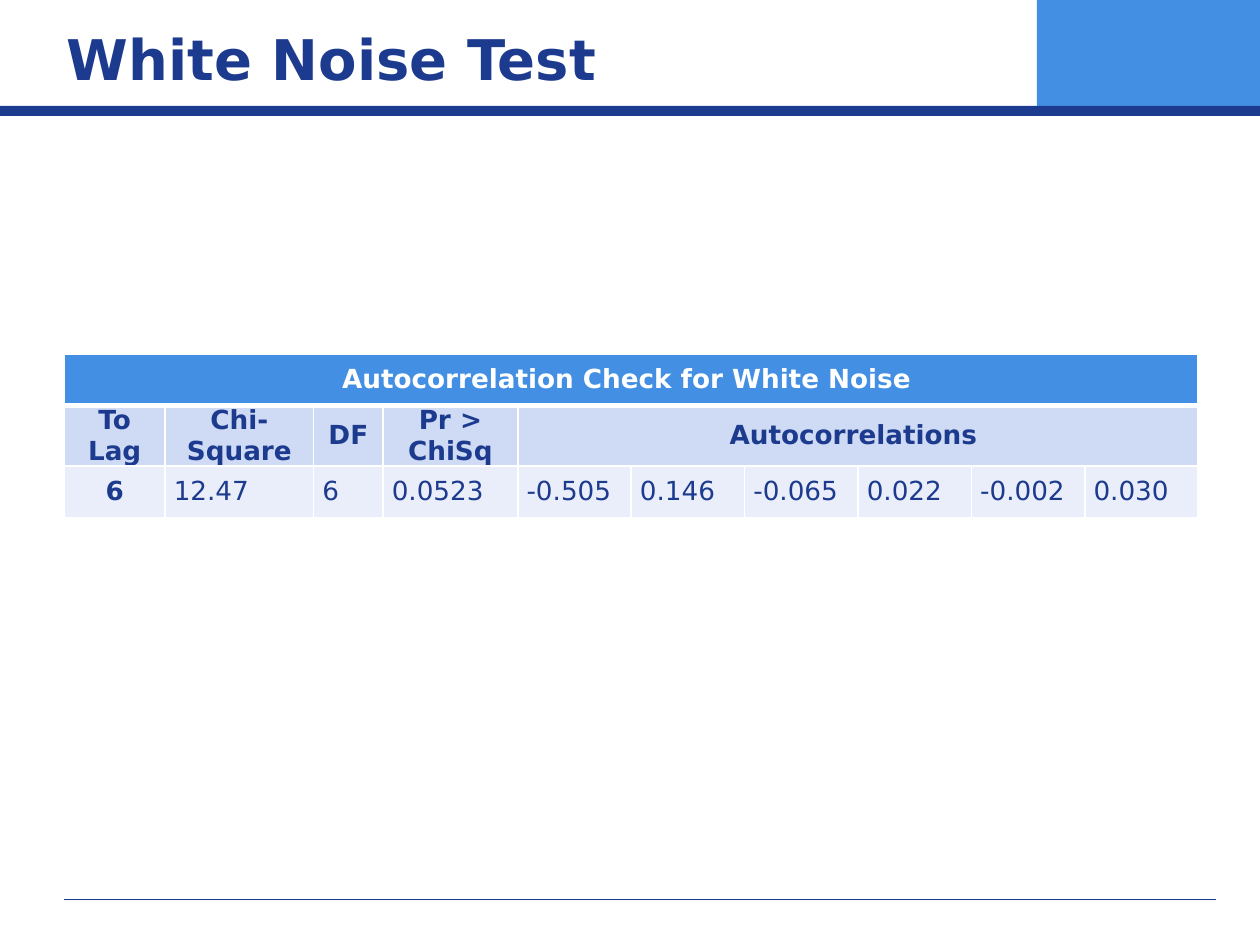
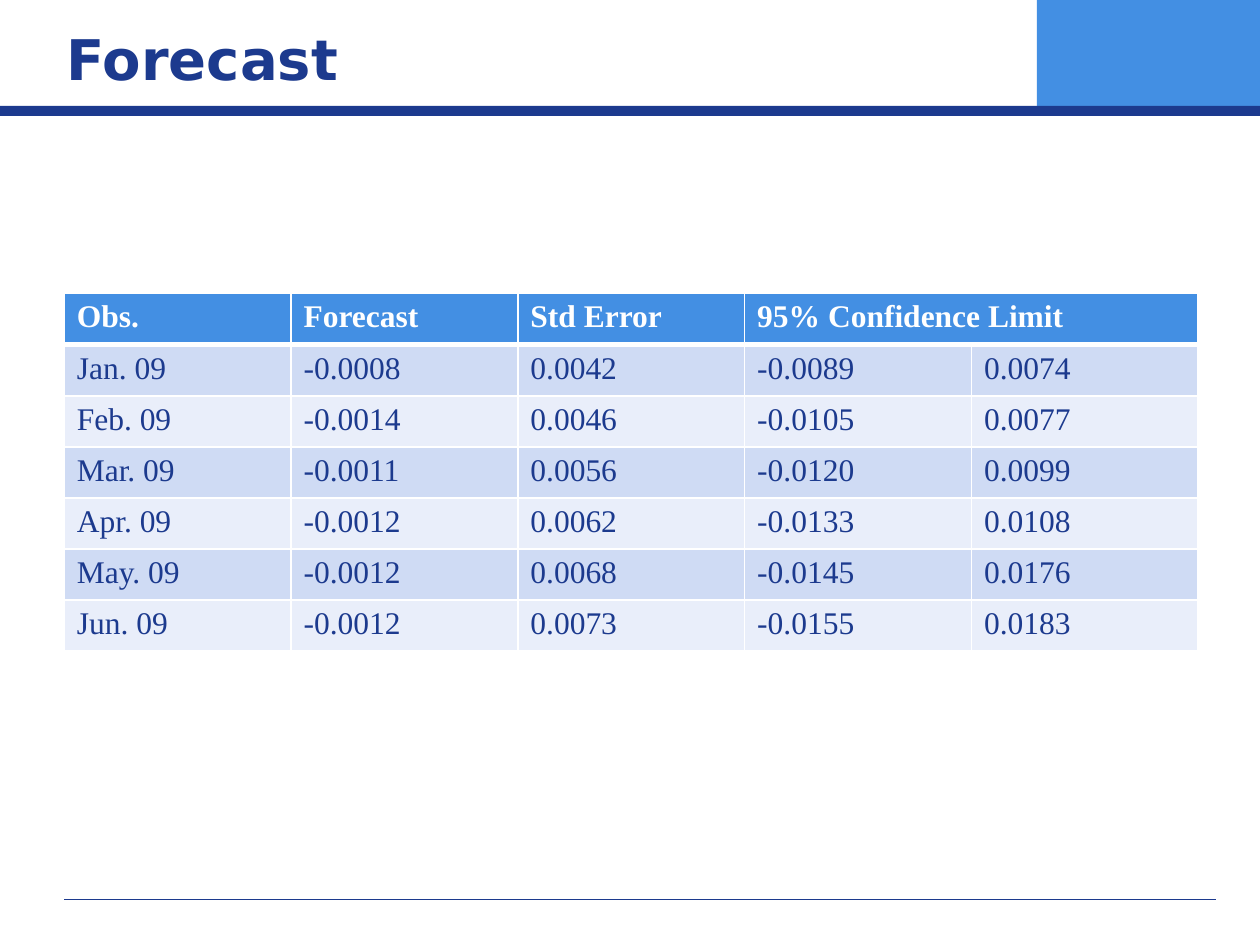
from dataclasses import dataclass

from lxml import etree
from pptx import Presentation
from pptx.dml.color import RGBColor
from pptx.enum.shapes import MSO_CONNECTOR, MSO_SHAPE
from pptx.enum.text import MSO_ANCHOR, MSO_AUTO_SIZE, PP_ALIGN
from pptx.oxml.ns import qn
from pptx.util import Inches, Pt

RECT, STRAIGHT = MSO_SHAPE.RECTANGLE, MSO_CONNECTOR.STRAIGHT
LEFT, CENTER = PP_ALIGN.LEFT, PP_ALIGN.CENTER
TOP, MIDDLE = MSO_ANCHOR.TOP, MSO_ANCHOR.MIDDLE
NO_AUTOFIT = MSO_AUTO_SIZE.NONE

# Shared look
NAVY, BLUE, WHITE = "1C3A8E", "438FE3", "FFFFFF"
BAND_FILLS = ("CFDBF4", "E9EEFA")
SANS, SERIF = "DejaVu Sans", "Times New Roman"
TITLE_ONLY = 5
THIN, THICK = 1, 3
TABLE_LEFT, TABLE_WIDTH = 0.51, 9


@dataclass(frozen=True)
class Band:
    left: float
    top: float
    width: float
    height: float
    fill: str


@dataclass(frozen=True)
class TableSpec:
    top: float
    height: float
    columns: tuple[float, ...]
    rows: tuple[tuple, ...]  # None continues the cell to its left
    font: str
    size: float
    bold_rows: int = 1
    bold_columns: int = 0
    bold_align: PP_ALIGN = LEFT
    anchor: MSO_ANCHOR = TOP
    side_margin: float = 0.1
    end_margin: float = 0.05
    spacing: float = 0


BANDS = (
    Band(8.23, 0, 1.77, 0.86, BLUE),
    Band(0, 0.84, 10, 0.08, NAVY),
)

WHITE_NOISE = TableSpec(
    top=2.81,
    height=1.22,
    columns=(0.8, 1.18, 0.55, 1.07) + (0.9,) * 6,
    rows=(
        ("Autocorrelation Check for White Noise ",) + (None,) * 9,
        ("To Lag", "Chi-Square", "DF", "Pr > ChiSq", "Autocorrelations ") + (None,) * 5,
        ("6", "12.47", "6", "0.0523", "-0.505", "0.146", "-0.065", "0.022", "-0.002", "0.030"),
    ),
    font=SANS,
    size=15,
    bold_rows=2,
    bold_columns=1,
    bold_align=CENTER,
    anchor=MIDDLE,
    side_margin=0.07,
    end_margin=0,
    spacing=5,
)

FORECAST = TableSpec(
    top=2.33,
    height=2.84,
    columns=(TABLE_WIDTH / 5,) * 5,
    rows=(
        ("Obs.", "Forecast", "Std Error", "95% Confidence Limit", None),
        ("Jan. 09", "-0.0008", "0.0042", "-0.0089", "0.0074"),
        ("Feb. 09", "-0.0014", "0.0046", "-0.0105", "0.0077"),
        ("Mar. 09", "-0.0011", "0.0056", "-0.0120", "0.0099"),
        ("Apr. 09", "-0.0012", "0.0062", "-0.0133", "0.0108"),
        ("May. 09", "-0.0012", "0.0068", "-0.0145", "0.0176"),
        ("Jun. 09", "-0.0012", "0.0073", "-0.0155", "0.0183"),
    ),
    font=SERIF,
    size=18,
)


def rgb(colour: str) -> RGBColor:
    return RGBColor.from_string(colour)


def write(frame, text: str, *, font: str, size: float, colour: str = NAVY,
          bold: bool = False, align: PP_ALIGN = LEFT, spacing: float = 0) -> None:
    paragraph = frame.paragraphs[0]
    paragraph.alignment = align
    paragraph.space_before = paragraph.space_after = Pt(spacing)
    run = paragraph.add_run()
    run.text = text
    run.font.name, run.font.size, run.font.bold = font, Pt(size), bold
    run.font.color.rgb = rgb(colour)


def add_band(slide, band: Band) -> None:
    shape = slide.shapes.add_shape(RECT, Inches(band.left), Inches(band.top),
                                   Inches(band.width), Inches(band.height))
    shape.shadow.inherit = False
    shape.fill.solid()
    shape.fill.fore_color.rgb = rgb(band.fill)
    shape.line.fill.background()


def add_footer_rule(slide) -> None:
    rule = slide.shapes.add_connector(STRAIGHT, Inches(0.51), Inches(7.14),
                                      Inches(9.65), Inches(7.14))
    rule.line.color.rgb = rgb(NAVY)
    rule.line.width = Pt(0.75)
    etree.SubElement(rule._element.spPr, qn("a:effectLst"))


def add_titled_slide(deck, heading: str):
    slide = deck.slides.add_slide(deck.slide_layouts[TITLE_ONLY])
    for band in BANDS:
        add_band(slide, band)
    add_footer_rule(slide)
    title = slide.shapes.title
    title.left, title.top = Inches(0.43), Inches(0.13)
    title.width, title.height = Inches(7.88), Inches(0.67)
    title.text_frame.auto_size = NO_AUTOFIT
    title.text_frame.vertical_anchor = MIDDLE
    write(title.text_frame, heading, font=SANS, size=32, bold=True)
    return slide


def set_borders(cell, top: float, bottom: float) -> None:
    properties = cell._tc.get_or_add_tcPr()
    for side, width in (("L", THIN), ("R", THIN), ("T", top), ("B", bottom)):
        line = etree.SubElement(properties, qn(f"a:ln{side}"), w=str(Pt(width)))
        fill = etree.SubElement(line, qn("a:solidFill"))
        etree.SubElement(fill, qn("a:srgbClr"), val=WHITE)


def style_cell(cell, row: int, spec: TableSpec) -> None:
    set_borders(cell, top=THICK if row == 1 else THIN, bottom=THICK if row == 0 else THIN)
    cell.fill.solid()
    cell.fill.fore_color.rgb = rgb(BLUE if row == 0 else BAND_FILLS[(row - 1) % 2])
    cell.vertical_anchor = spec.anchor
    cell.margin_left = cell.margin_right = Inches(spec.side_margin)
    cell.margin_top = cell.margin_bottom = Inches(spec.end_margin)


def add_data_table(slide, spec: TableSpec) -> None:
    table = slide.shapes.add_table(
        len(spec.rows), len(spec.columns), Inches(TABLE_LEFT), Inches(spec.top),
        Inches(TABLE_WIDTH), Inches(spec.height)).table
    for column, width in zip(table.columns, spec.columns):
        column.width = Inches(width)
    for r, values in enumerate(spec.rows):
        for c, value in enumerate(values):
            cell = table.cell(r, c)
            style_cell(cell, r, spec)
            if value is None:
                continue
            # Merge across the empty places that follow
            end = c
            while end + 1 < len(values) and values[end + 1] is None:
                end += 1
            if end > c:
                cell.merge(table.cell(r, end))
            bold = r < spec.bold_rows or c < spec.bold_columns
            write(cell.text_frame, value, font=spec.font, size=spec.size,
                  colour=WHITE if r == 0 else NAVY, bold=bold,
                  align=spec.bold_align if bold else LEFT, spacing=spec.spacing)


def main() -> None:
    deck = Presentation()
    deck.slide_width, deck.slide_height = Inches(10), Inches(7.5)
    for heading, spec in (("White Noise Test", WHITE_NOISE), ("Forecast", FORECAST)):
        add_data_table(add_titled_slide(deck, heading), spec)
    deck.save("out.pptx")


if __name__ == "__main__":
    main()
